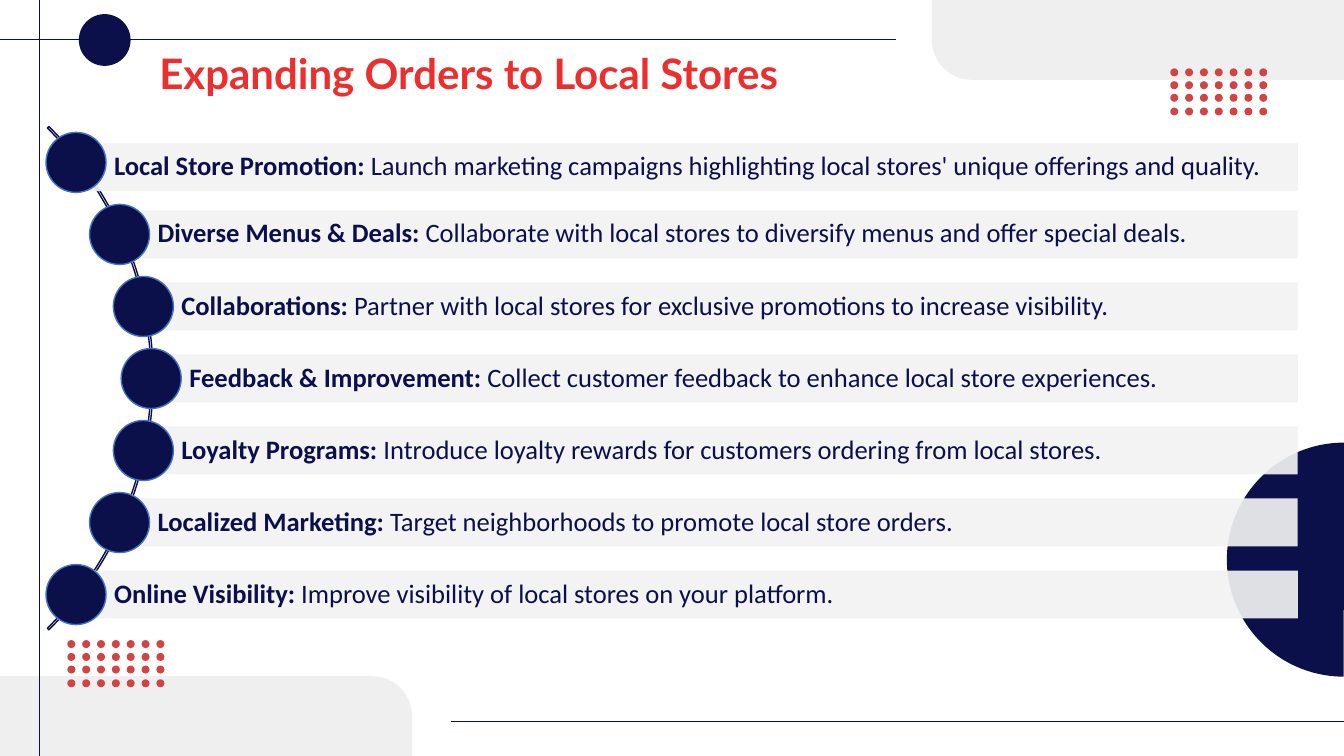
from lxml.etree import SubElement
from pptx import Presentation
from pptx.dml.color import RGBColor
from pptx.enum.shapes import MSO_CONNECTOR, MSO_SHAPE
from pptx.enum.text import MSO_ANCHOR, PP_ALIGN
from pptx.oxml.ns import qn
from pptx.util import Pt

TITLE = " Expanding Orders to Local Stores"
ITEMS = [
    ("Local Store Promotion:", " Launch marketing campaigns highlighting local stores' "
                               "unique offerings and quality."),
    ("Diverse Menus & Deals:", " Collaborate with local stores to diversify menus and "
                               "offer special deals."),
    ("Collaborations:", " Partner with local stores for exclusive promotions to "
                        "increase visibility."),
    ("Feedback & Improvement:", " Collect customer feedback to enhance local store "
                                "experiences."),
    ("Loyalty Programs:", " Introduce loyalty rewards for customers ordering from "
                          "local stores."),
    ("Localized Marketing:", " Target neighborhoods to promote local store orders."),
    ("Online Visibility:", " Improve visibility of local stores on your platform."),
]
COLORS = {"navy": "0B104B", "red": "ED2E2E", "dot": "D44343", "panel": "EFEFEF",
          "bar": "F2F2F2", "ring": "4472C4", "white": "FFFFFF"}

W, H = 960, 540
PANEL_W, PANEL_H = 294.4, 57
RULES = [(W, 515.5, 321.8, 515.5), (640, 28.5, 0, 28.5), (28.5, H, 28.5, 0)]
DOT_GRIDS = [(48.1, 457.2), (835.9, 48.8)]
DOT, DOT_COLS, DOT_STEP, DOT_ROWS = 5.7, 7, 10.6, (0, 9.2, 18.2, 28)
BAR_LEFTS = [54.3, 85.4, 102.4, 108]
BAR_RIGHT, BAR_H = 927, 34.3
FIRST_CENTER, ROW_STEP, FIRST_SHIFT = 116, 51.45, 3.5
KNOB = 42.9


def rgb(name):
    """Return a palette colour."""
    return RGBColor.from_string(COLORS[name])


def add_shape(kind, x, y, w, h, fill=None, line=None, adj=()):
    """Add a flat preset shape, with line width 1 if it has an outline."""
    s = slide.shapes.add_shape(kind, Pt(x), Pt(y), Pt(w), Pt(h))
    s.shadow.inherit = False
    for i, value in enumerate(adj):
        s.adjustments[i] = value
    if fill:
        s.fill.solid()
        s.fill.fore_color.rgb = rgb(fill)
    else:
        s.fill.background()
    if line:
        s.line.color.rgb = rgb(line)
        s.line.width = Pt(1)
    else:
        s.line.fill.background()
    return s


def add_rule(x1, y1, x2, y2):
    """Add a thin straight line."""
    s = slide.shapes.add_connector(MSO_CONNECTOR.STRAIGHT, Pt(x1), Pt(y1), Pt(x2), Pt(y2))
    s.line.color.rgb = rgb("navy")
    s.line.width = Pt(0.75)
    SubElement(s._element.spPr, qn("a:effectLst"))


def add_dots(left, top):
    """Add a grid of small dots."""
    for dy in DOT_ROWS:
        for col in range(DOT_COLS):
            add_shape(MSO_SHAPE.OVAL, left + col * DOT_STEP, top + dy, DOT, DOT, "dot")


def write(tf, runs, font, size, color, anchor):
    """Write one left-aligned paragraph from (text, bold) runs."""
    tf.word_wrap = True
    tf.vertical_anchor = anchor
    p = tf.paragraphs[0]
    p.alignment = PP_ALIGN.LEFT
    p.line_spacing = 0.9
    for text, bold in runs:
        r = p.add_run()
        r.text = text
        r.font.name, r.font.size, r.font.bold = font, Pt(size), bold
        r.font.color.rgb = rgb(color)


def add_item(index, heading, detail):
    """Add one bar with its text and the round knob on its left end."""
    left = BAR_LEFTS[min(index, len(ITEMS) - 1 - index)]
    center = FIRST_CENTER + index * ROW_STEP
    top = center - BAR_H / 2 + (FIRST_SHIFT if index == 0 else 0)
    s = add_shape(MSO_SHAPE.RECTANGLE, left, top, BAR_RIGHT - left, BAR_H, "bar")
    color = s._element.spPr.find(qn("a:solidFill"))[0]
    SubElement(color, qn("a:alpha")).set("val", "92000")
    tf = s.text_frame
    tf.margin_left = Pt(27.2)
    tf.margin_right = tf.margin_top = tf.margin_bottom = Pt(3.8)
    write(tf, [(heading, True), (detail, False)], "Calibri", 19, "navy", MSO_ANCHOR.MIDDLE)
    add_shape(MSO_SHAPE.OVAL, left - KNOB / 2, center - KNOB / 2, KNOB, KNOB, "navy", "ring")


prs = Presentation()
prs.slide_width, prs.slide_height = Pt(W), Pt(H)
slide = prs.slides.add_slide(prs.slide_layouts[6])
slide.background.fill.solid()
slide.background.fill.fore_color.rgb = rgb("white")

for x, y, turn in [(W - PANEL_W, 0, 180), (0, H - PANEL_H, 0)]:
    panel = add_shape(MSO_SHAPE.ROUND_1_RECTANGLE, x, y, PANEL_W, PANEL_H, "panel", adj=[0.5])
    panel.rotation = turn
for rule in RULES:
    add_rule(*rule)
for grid in DOT_GRIDS:
    add_dots(*grid)
add_shape(MSO_SHAPE.OVAL, 56.3, 10.1, 37, 37, "navy")
add_shape(MSO_SHAPE.PIE, 876.4, 316.2, 167.2, 167.2, "navy", adj=[54.11, 162])

title = slide.shapes.add_textbox(Pt(99.4), Pt(33.8), Pt(828), Pt(40.3))
write(title.text_frame, [(TITLE, True)], "Lato", 30, "red", MSO_ANCHOR.BOTTOM)

add_shape(MSO_SHAPE.BLOCK_ARC, -398.9, 16, 508.3, 508.3, line="navy", adj=[189, 27, 0.003])
for i, (heading, detail) in enumerate(ITEMS):
    add_item(i, heading, detail)

prs.save("out.pptx")
